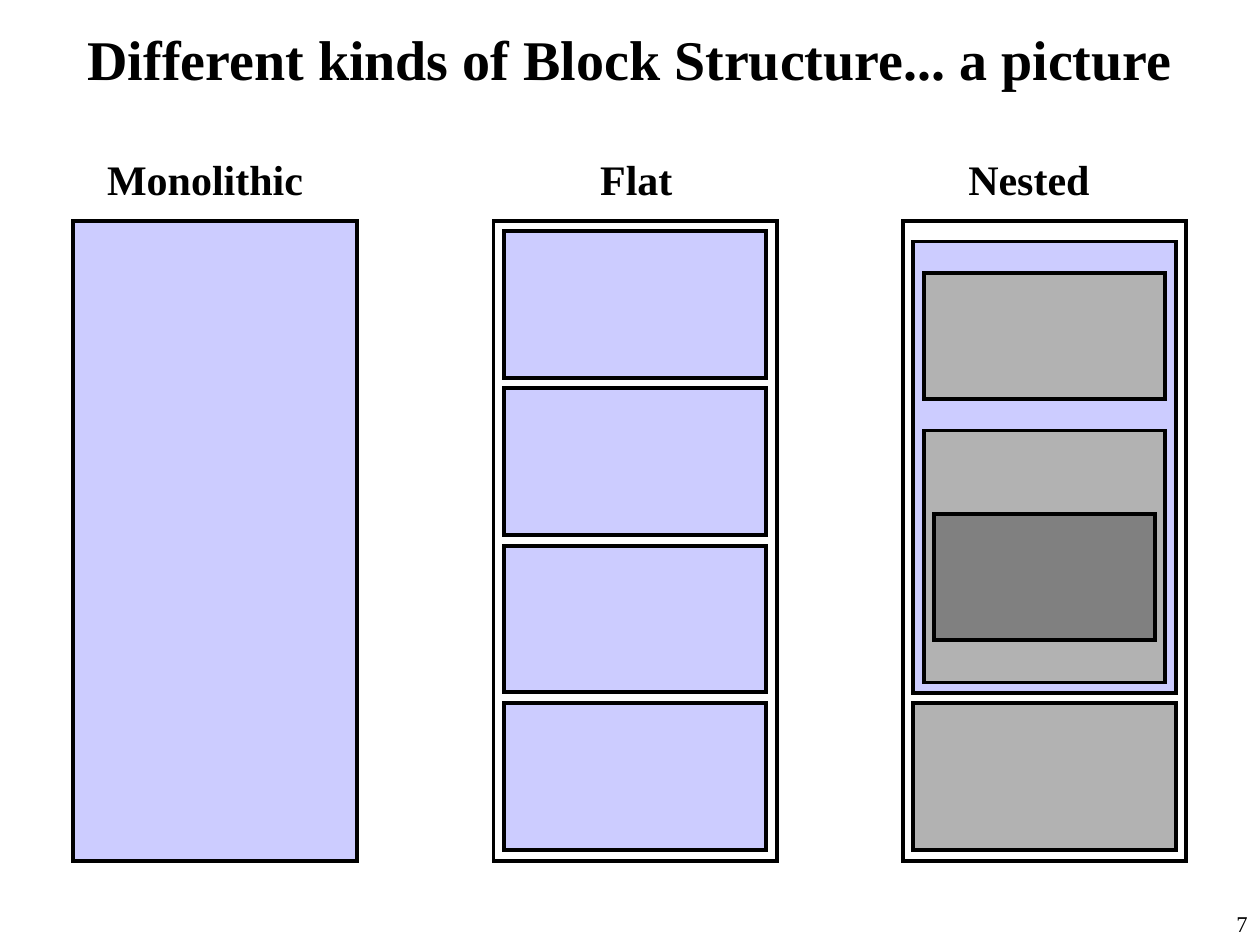
from lxml import etree
from pptx import Presentation
from pptx.dml.color import RGBColor
from pptx.enum.shapes import MSO_SHAPE
from pptx.enum.text import MSO_ANCHOR, PP_ALIGN
from pptx.oxml.ns import qn
from pptx.util import Cm, Pt

RECTANGLE = MSO_SHAPE.RECTANGLE
TOP, MIDDLE = MSO_ANCHOR.TOP, MSO_ANCHOR.MIDDLE
LEFT, CENTER, RIGHT = PP_ALIGN.LEFT, PP_ALIGN.CENTER, PP_ALIGN.RIGHT

BLACK = RGBColor(0x00, 0x00, 0x00)
WHITE = RGBColor(0xFF, 0xFF, 0xFF)
LAVENDER = RGBColor(0xCC, 0xCC, 0xFF)
LIGHT_GRAY = RGBColor(0xB2, 0xB2, 0xB2)
DARK_GRAY = RGBColor(0x80, 0x80, 0x80)

deck = Presentation()
deck.slide_width = Cm(25.4)
deck.slide_height = Cm(19.05)
slide = deck.slides.add_slide(deck.slide_layouts[6])


def add_text(text, left, top, width, height, size, bold=True, align=LEFT, anchor=TOP):
    box = slide.shapes.add_textbox(Cm(left), Cm(top), Cm(width), Cm(height))
    frame = box.text_frame
    frame.word_wrap = True
    frame.vertical_anchor = anchor
    para = frame.paragraphs[0]
    para.alignment = align
    span = para.add_run()
    span.text = text
    span.font.name = "Times New Roman"
    span.font.size = Pt(size)
    span.font.bold = bold
    span.font.color.rgb = BLACK


def add_block(left, top, width, height, color):
    block = slide.shapes.add_shape(RECTANGLE, Cm(left), Cm(top), Cm(width), Cm(height))
    block.shadow.inherit = False
    block.fill.solid()
    block.fill.fore_color.rgb = color
    block.line.color.rgb = BLACK
    block.line.width = Pt(2.25)
    outline = block.element.spPr.find(qn("a:ln"))
    etree.SubElement(outline, qn("a:miter"), lim="800000")


add_text("Different kinds of Block Structure... a picture", 0.64, 0.23, 24.13, 1.9, 32,
         align=CENTER, anchor=MIDDLE)
add_text("7", 23.5, 18.22, 1.9, 0.85, 12.9, bold=False, align=RIGHT)

columns = [
    ("Monolithic", 1.91, 4.6, 1.48, LAVENDER),
    ("Flat", 11.85, 2.1, 9.95, WHITE),
    ("Nested", 19.27, 3.1, 18.2, WHITE),
]
for label, label_left, label_width, block_left, color in columns:
    add_text(label, label_left, 2.96, label_width, 1.27, 24)
    add_block(block_left, 4.45, 5.71, 12.91, color)

gap = 0.21
inner_width = 5.29
block_height = 2.96
row_tops = [4.66 + row * (block_height + gap) for row in range(4)]

flat_left = 9.95 + gap
for row_top in row_tops:
    add_block(flat_left, row_top, inner_width, block_height, LAVENDER)

nested_left = 18.2 + gap
nested_blocks = [
    (0, 4.87, 9.1, LAVENDER),
    (0, row_tops[-1], block_height, LIGHT_GRAY),
    (1, 5.5, 2.54, LIGHT_GRAY),
    (1, 8.68, 5.08, LIGHT_GRAY),
    (2, 10.37, 2.54, DARK_GRAY),
]
for depth, top, height, color in nested_blocks:
    inset = depth * gap
    add_block(nested_left + inset, top, inner_width - 2 * inset, height, color)

deck.save("out.pptx")
